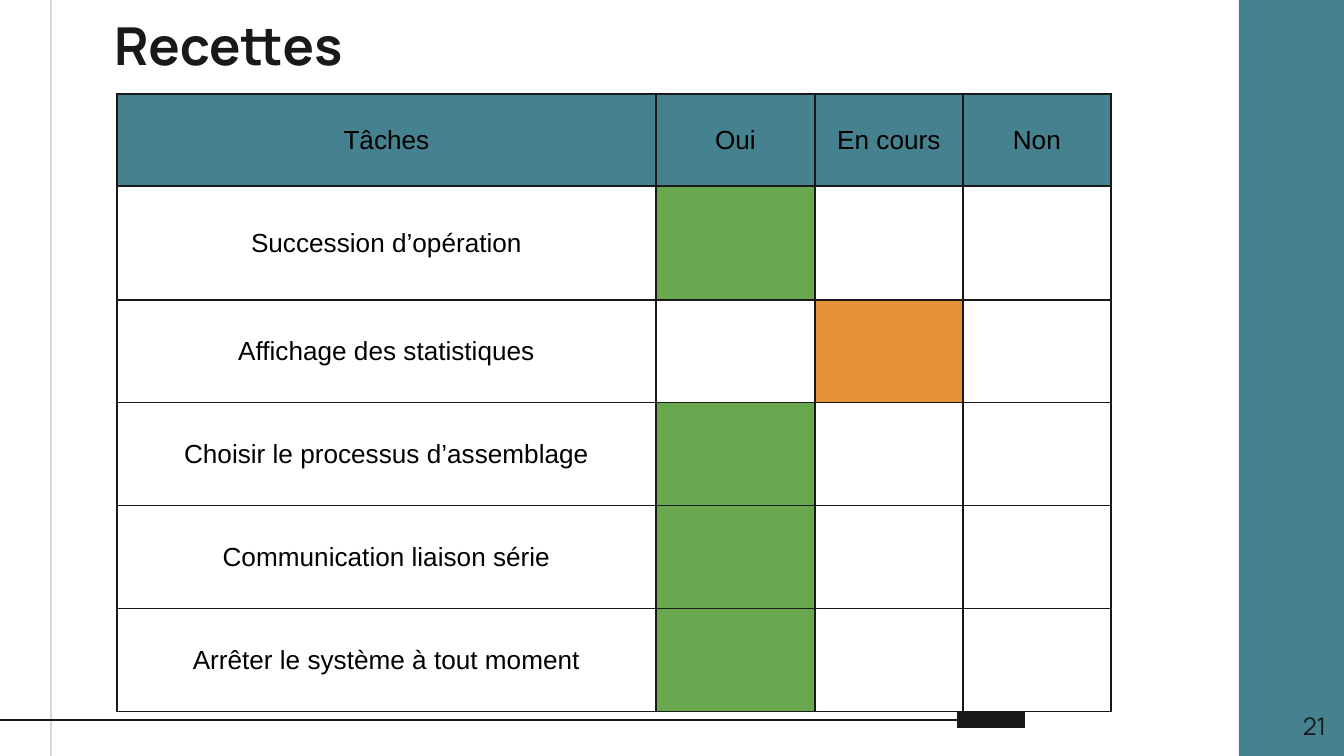
"""Build the "Recettes" slide: a table of tasks and their status."""
import lxml.etree
import pptx
import pptx.util
import pptx.dml.color
import pptx.enum.shapes
import pptx.enum.text
import pptx.oxml.ns

SCALE = 914400 / 134.4
INK = {"teal": "45818E", "dark": "191919", "grey": "D9D9D9",
       "black": "000000", "green": "6AA84F", "orange": "E69138"}
ALIGN = pptx.enum.text.PP_ALIGN
ANCHOR = pptx.enum.text.MSO_ANCHOR
qn = pptx.oxml.ns.qn


def px(*sizes):
    return [pptx.util.Emu(round(size * SCALE)) for size in sizes]


def style(para, name, size, tint, align):
    para.alignment = align
    para.font.name = name
    para.font.size = pptx.util.Pt(size)
    para.font.color.rgb = pptx.dml.color.RGBColor.from_string(INK[tint])


deck = pptx.Presentation()
deck.slide_width, deck.slide_height = px(1344, 756)
slide = deck.slides.add_slide(deck.slide_layouts[5])
shapes = slide.shapes

band = shapes.add_shape(pptx.enum.shapes.MSO_SHAPE.RECTANGLE, *px(1239, 0, 105, 756))
band.shadow.inherit = False
band.fill.solid()
band.fill.fore_color.rgb = pptx.dml.color.RGBColor.from_string(INK["teal"])
band.line.fill.background()

rules = [(51, -5, 51, 761, "grey", 0.75),
         (1025, 720, 957, 720, "dark", 9),
         (957, 720, -12, 720, "dark", 0.75)]
for *ends, tint, width in rules:
    rule = shapes.add_connector(pptx.enum.shapes.MSO_CONNECTOR.STRAIGHT, *px(*ends))
    rule.line.color.rgb = pptx.dml.color.RGBColor.from_string(INK[tint])
    rule.line.width = pptx.util.Pt(width)
    lxml.etree.SubElement(rule._element.spPr, qn("a:effectLst"))

title = shapes.title
title.left, title.top, title.width, title.height = px(101, 0, 1133, 85)
title.text = "Recettes"
number = shapes.add_textbox(*px(1258, 697, 81, 58))
number.text_frame.text = "21"
for box, size, align, anchor in [(title, 28, ALIGN.LEFT, ANCHOR.TOP),
                                 (number, 13, ALIGN.RIGHT, ANCHOR.MIDDLE)]:
    frame = box.text_frame
    frame.word_wrap = True
    frame.auto_size = pptx.enum.text.MSO_AUTO_SIZE.NONE
    frame.vertical_anchor = anchor
    frame.margin_left, frame.margin_right, frame.margin_top, frame.margin_bottom = px(13, 13, 13, 13)
    style(frame.paragraphs[0], "Manrope", size, "dark", align)
title.text_frame.paragraphs[0].font.bold = True

heads = ["Tâches", "Oui", "En cours", "Non"]
tasks = [("Succession d’opération", "Oui"),
         ("Affichage des statistiques", "En cours"),
         ("Choisir le processus d’assemblage", "Oui"),
         ("Communication liaison série", "Oui"),
         ("Arrêter le système à tout moment", "Oui")]
tints = {"Oui": "green", "En cours": "orange"}
widths = [539, 159, 148, 148]
heights = [92, 114, 103, 103, 103, 103]
table = shapes.add_table(len(heights), len(widths),
                         *px(117, 94, sum(widths), sum(heights))).table
table.first_row = table.horz_banding = False
for col, width in zip(table.columns, px(*widths)):
    col.width = width
for row, height in zip(table.rows, px(*heights)):
    row.height = height

for r, row in enumerate(table.rows):
    for c, cell in enumerate(row.cells):
        props = cell._tc.get_or_add_tcPr()
        for side in ("a:lnL", "a:lnR", "a:lnT", "a:lnB"):
            edge = lxml.etree.SubElement(props, qn(side), w=str(int(pptx.util.Pt(0.75))))
            fill = lxml.etree.SubElement(edge, qn("a:solidFill"))
            lxml.etree.SubElement(fill, qn("a:srgbClr"), val=INK["dark"])
        if r == 0:
            text, tint = heads[c], "teal"
        else:
            task, state = tasks[r - 1]
            text = task if c == 0 else ""
            tint = tints[state] if heads[c] == state else None
        if tint:
            cell.fill.solid()
            cell.fill.fore_color.rgb = pptx.dml.color.RGBColor.from_string(INK[tint])
        else:
            cell.fill.background()
        if text:
            cell.text = text
            cell.vertical_anchor = ANCHOR.MIDDLE
            cell.margin_left, cell.margin_right, cell.margin_top, cell.margin_bottom = px(13, 13, 13, 13)
            style(cell.text_frame.paragraphs[0], "Arial", 14, "black", ALIGN.CENTER)

deck.save("out.pptx")
